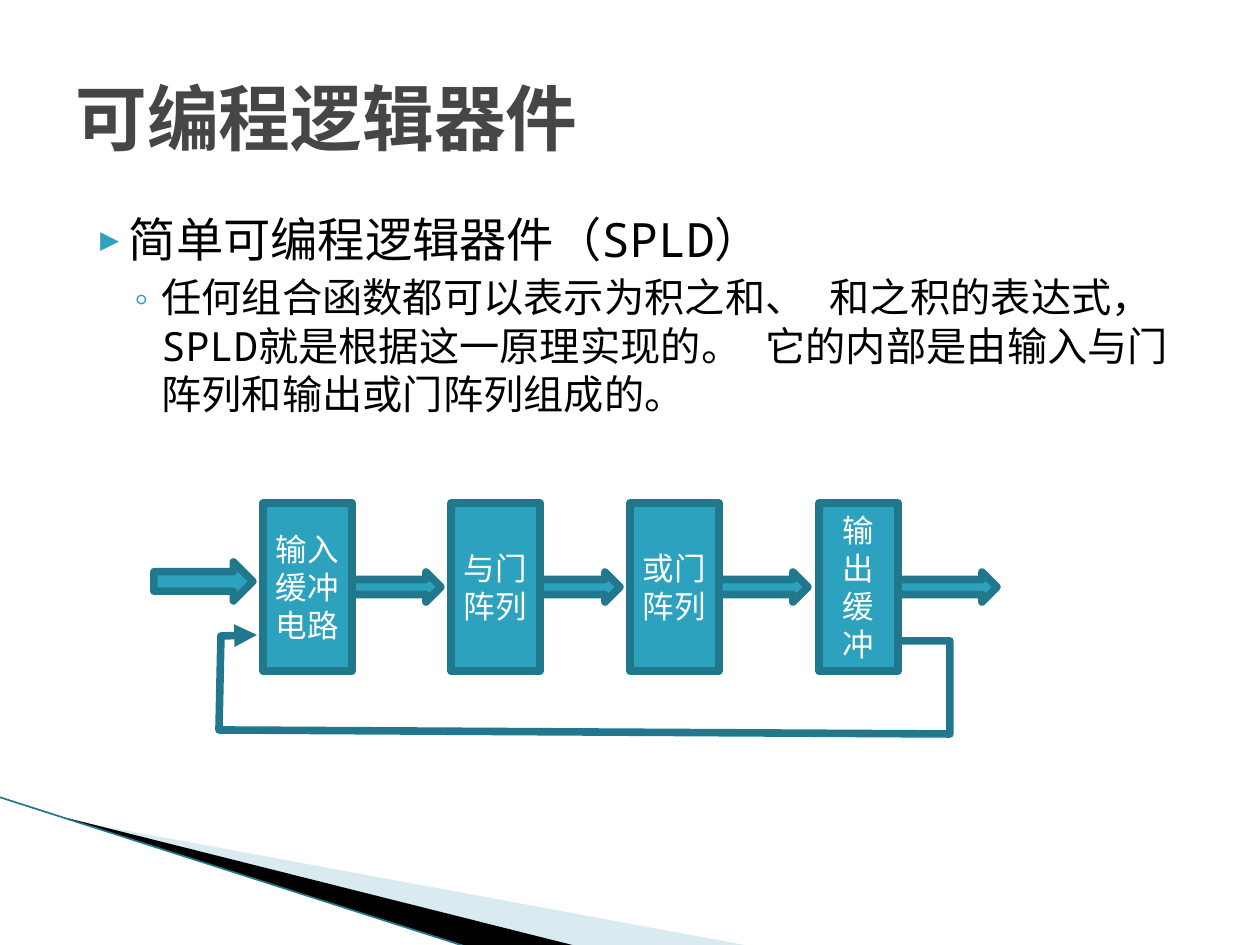
import pptx
import pptx.util
import pptx.dml.color
import pptx.enum.shapes
import pptx.enum.text
import pptx.oxml
import pptx.oxml.ns
from lxml import etree

SCALE = 914400 / 126  # EMU per px
FONT = "Noto Sans Mono"
TEAL, EDGE = "2DA2BF", "21788D"
SHAPE = pptx.enum.shapes.MSO_SHAPE
ALIGN = pptx.enum.text.PP_ALIGN
MIDDLE = pptx.enum.text.MSO_ANCHOR.MIDDLE


def px(n):
    return pptx.util.Emu(round(n * SCALE))


def color(code):
    return pptx.dml.color.RGBColor.from_string(code)


def node(parent, tag, **attrs):
    return etree.SubElement(parent, pptx.oxml.ns.qn(tag), attrs)


def paint(shape, fill=None, edge=None, width=4.33):
    shape.shadow.inherit = False
    if fill:
        shape.fill.solid()
        shape.fill.fore_color.rgb = color(fill)
    else:
        shape.fill.background()
    if edge:
        shape.line.color.rgb = color(edge)
        shape.line.width = pptx.util.Pt(width)
        node(shape.line._get_or_add_ln(), "a:round")
    else:
        shape.line.fill.background()


def write(para, text, size, ink, bold=False):
    run = para.add_run()
    run.text = text
    run.font.size = pptx.util.Pt(size)
    run.font.name = FONT
    run.font.bold = bold
    run.font.color.rgb = color(ink)
    node(run._r.get_or_add_rPr(), "a:ea", typeface=FONT)


def bullet(para, mark, share, left, hang, before):
    para.space_before = pptx.util.Pt(before)
    props = para._p.get_or_add_pPr()
    props.set("marL", str(px(left)))
    props.set("indent", str(-px(hang)))
    node(node(props, "a:buClr"), "a:srgbClr", val=TEAL)
    node(props, "a:buSzPct", val=str(share * 1000))
    node(props, "a:buFont", typeface=FONT)
    node(props, "a:buChar", char=mark)


def frame(slide, x, y, w, h):
    text = slide.shapes.add_textbox(px(x), px(y), px(w), px(h)).text_frame
    text.word_wrap = True
    return text


def block(slide, kind, x, y, w, h):
    shape = slide.shapes.add_shape(kind, px(x), px(y), px(w), px(h))
    paint(shape, TEAL, EDGE)
    return shape


def stage(slide, x, w, label):
    text = block(slide, SHAPE.RECTANGLE, x, 503, w, 168).text_frame
    text.word_wrap = True
    text.vertical_anchor = MIDDLE
    para = text.paragraphs[0]
    para.alignment = ALIGN.CENTER
    write(para, label, 18, "FFFFFF")


def outline(slide, points, close):
    pen = slide.shapes.build_freeform(*points[0], scale=SCALE)
    pen.add_line_segments(points[1:], close=close)
    return pen.convert_to_shape()


def corner(slide):
    # Pale and black wedges with a thin line below them
    pale = outline(slide, [(69, 820), (750, 946), (575, 946), (69, 819)], True)
    paint(pale, "A0CBDC")
    tint = pale.fill._xPr.find(".//" + pptx.oxml.ns.qn("a:srgbClr"))
    node(tint, "a:alpha", val="40000")
    dark = outline(slide, [(67, 818), (576, 946), (469, 947), (68, 819)], True)
    paint(dark, "000000")
    rule = slide.shapes.add_connector(
        pptx.enum.shapes.MSO_CONNECTOR.STRAIGHT,
        px(-1), px(797), px(467), px(947))
    rule.line.color.rgb = color(EDGE)
    rule.line.width = pptx.util.Pt(0.95)
    node(rule._element.spPr, "a:effectLst")


def words(slide):
    head = frame(slide, 63, 38, 1134, 158)
    head.vertical_anchor = MIDDLE
    write(head.paragraphs[0], "可编程逻辑器件", 41, "464646", True)

    body = frame(slide, 63, 204, 1134, 248)
    first = body.paragraphs[0]
    bullet(first, "▶", 68, 50, 35, 4)
    write(first, "简单可编程逻辑器件（SPLD）", 27, "000000")
    second = body.add_paragraph()
    bullet(second, "◦", 100, 86, 32, 3.2)
    write(second, "任何组合函数都可以表示为积之和、 和之积的表达式， "
          "SPLD就是根据这一原理实现的。 "
          "它的内部是由输入与门阵列和输出或门阵列组成的。", 23, "000000")


def diagram(slide):
    # Stages, left to right
    for x, w, label in [(263, 89, "输入缓冲电路"), (451, 89, "与门阵列"),
                        (630, 89, "或门阵列"), (819, 79, "输出缓冲")]:
        stage(slide, x, w, label)

    # Signal arrows
    for x, y, w, h in [(154, 562, 99, 39), (352, 572, 89, 30),
                       (540, 572, 80, 30), (719, 572, 89, 30),
                       (898, 572, 99, 30)]:
        block(slide, SHAPE.RIGHT_ARROW, x, y, w, h)

    # Feedback from output to input
    loop = outline(slide, [(899, 641), (950, 641), (950, 734),
                           (219, 730), (221, 636), (257, 635)], False)
    paint(loop, edge=EDGE)
    node(loop.line._get_or_add_ln(), "a:tailEnd", type="triangle")


def main():
    deck = pptx.Presentation()
    deck.slide_width, deck.slide_height = px(1260), px(945)
    slide = deck.slides.add_slide(deck.slide_layouts[6])
    corner(slide)
    words(slide)
    diagram(slide)
    deck.save("out.pptx")


if __name__ == "__main__":
    main()
